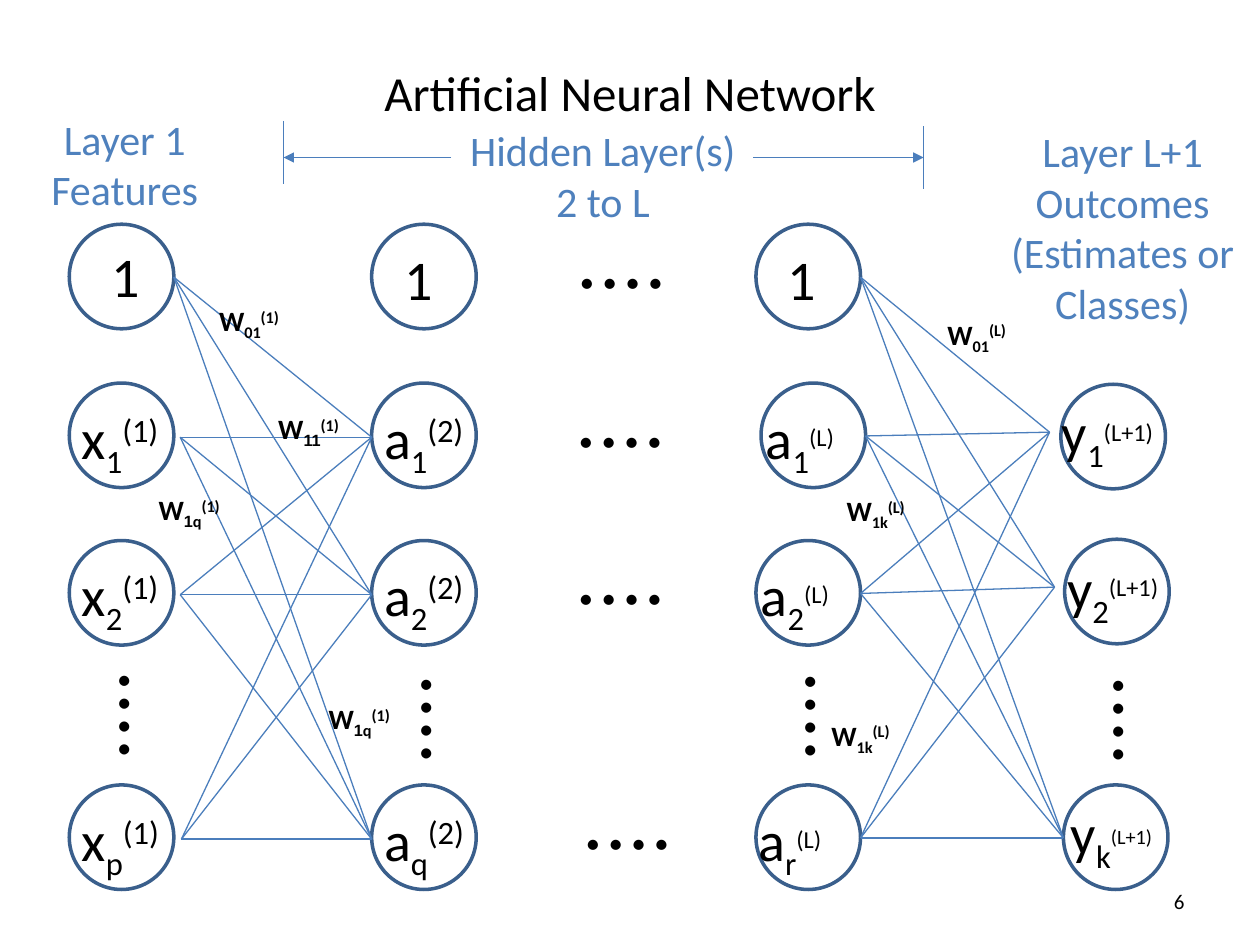
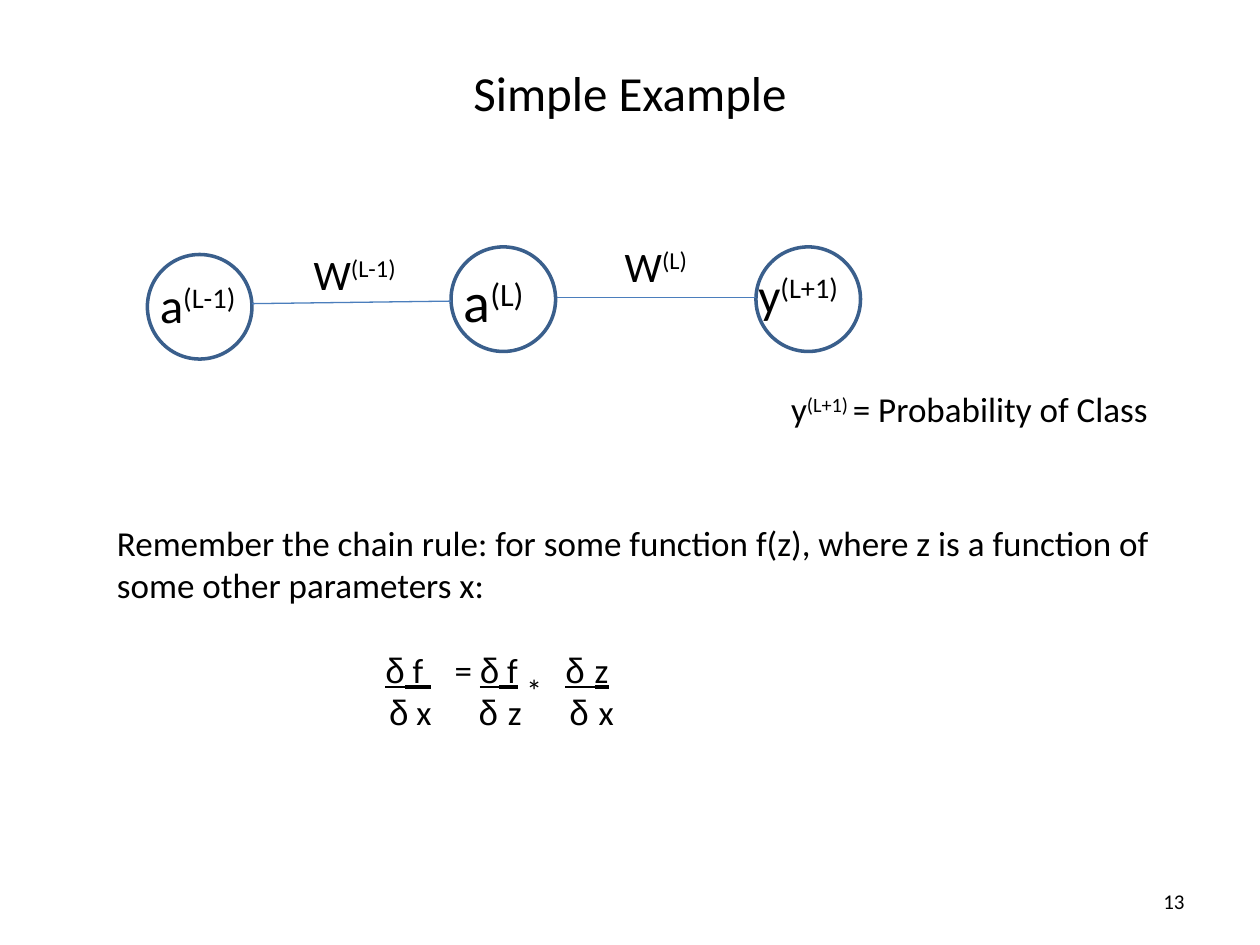
from itertools import product

from lxml.etree import SubElement
from pptx import Presentation
from pptx.dml.color import RGBColor
from pptx.enum.shapes import MSO_CONNECTOR, MSO_SHAPE
from pptx.enum.text import MSO_ANCHOR, MSO_AUTO_SIZE, PP_ALIGN
from pptx.oxml.ns import qn
from pptx.util import Inches, Pt

BLACK = "000000"
HEADING_BLUE = "4F81BD"
OUTLINE_BLUE = "3A5F8C"
LINE_BLUE = "4B7EBC"
DIAMETER = 0.83


def rgb(value):
    """Turn a hex string into a colour."""
    return RGBColor.from_string(value)


def write(paragraph, text, size=20, color=BLACK, font="Calibri", bold=False,
          underline=False, baseline=0):
    """Add one formatted run to a paragraph."""
    run = paragraph.add_run()
    run.text = text
    run.font.size = Pt(size)
    run.font.name = font
    run.font.bold = bold
    run.font.underline = underline
    run.font.color.rgb = rgb(color)
    if baseline:
        run._r.get_or_add_rPr().set("baseline", str(baseline * 1000))


def sub(text, **style):
    """Describe a subscript run."""
    return text, dict(baseline=-25, **style)


def sup(text, **style):
    """Describe a superscript run."""
    return text, dict(baseline=30, **style)


def arial(text, **style):
    """Describe a run set in Arial."""
    return text, dict(font="Arial", **style)


def set_tabs(paragraph, stops):
    """Set left tab stops, given in inches."""
    tab_list = SubElement(paragraph._p.get_or_add_pPr(), qn("a:tabLst"))
    for stop in stops:
        SubElement(tab_list, qn("a:tab"), pos=str(Inches(stop)), algn="l")


class Deck:
    """Hold the shared style and the current slide."""

    def __init__(self):
        """Start a ten by seven and a half inch presentation."""
        self.presentation = Presentation()
        self.presentation.slide_width = Inches(10)
        self.presentation.slide_height = Inches(7.5)
        self.slide = None

    def new_slide(self, title, number):
        """Add a slide with its title and number."""
        self.slide = self.presentation.slides.add_slide(self.presentation.slide_layouts[5])
        shape = self.slide.shapes.title
        shape.left, shape.top, shape.width, shape.height = map(Inches, (0.5, 0.42, 9, 0.62))
        frame = shape.text_frame
        frame.vertical_anchor = MSO_ANCHOR.MIDDLE
        frame.paragraphs[0].alignment = PP_ALIGN.CENTER
        write(frame.paragraphs[0], title, size=28)
        footer = self.text((7.17, 6.95, 2.33, 0.4), [[number]], size=12,
                           align=PP_ALIGN.RIGHT, wrap=True, grow=False)
        footer.text_frame.vertical_anchor = MSO_ANCHOR.MIDDLE

    def text(self, box, lines, align=PP_ALIGN.LEFT, wrap=False, grow=True,
             shapes=None, **style):
        """Add a text box; a line is a list of strings or (string, style) runs."""
        shape = (shapes or self.slide.shapes).add_textbox(*map(Inches, box))
        frame = shape.text_frame
        frame.word_wrap = wrap
        frame.auto_size = MSO_AUTO_SIZE.SHAPE_TO_FIT_TEXT if grow else MSO_AUTO_SIZE.NONE
        for index, runs in enumerate(lines):
            paragraph = frame.add_paragraph() if index else frame.paragraphs[0]
            paragraph.alignment = align
            for run in runs:
                content, changes = (run, {}) if isinstance(run, str) else run
                write(paragraph, content, **{**style, **changes})
        return shape

    def node(self, left, top, label_box, runs, size=32):
        """Add a circle grouped with its label, placed relative to the circle."""
        group = self.slide.shapes.add_group_shape()
        circle = group.shapes.add_shape(
            MSO_SHAPE.OVAL, *map(Inches, (left, top, DIAMETER, DIAMETER)))
        circle.shadow.inherit = False
        circle.fill.background()
        circle.line.color.rgb = rgb(OUTLINE_BLUE)
        circle.line.width = Pt(2)
        across, down, width = label_box
        self.text((left + across, top + down, width, size / 50), [runs],
                  shapes=group.shapes, size=size)

    def line(self, start, end, arrow=False):
        """Add a thin straight line, with an arrowhead at its end if asked."""
        connector = self.slide.shapes.add_connector(
            MSO_CONNECTOR.STRAIGHT, *map(Inches, (*start, *end)))
        connector.line.color.rgb = rgb(LINE_BLUE)
        connector.line.width = Pt(0.75)
        properties = connector._element.spPr
        if arrow:
            SubElement(properties.find(qn("a:ln")), qn("a:tailEnd"), type="triangle")
        SubElement(properties, qn("a:effectLst"))

    def dots(self, left, top, rotation=0):
        """Add a row of four dots, upright unless rotated."""
        shape = self.text((left, top, 0.5, 0.91), [["⁞"]], wrap=True, size=48)
        shape.rotation = rotation


def build_network(deck):
    """Build the layered network slide."""
    deck.new_slide("Artificial Neural Network", "6")
    headings = [
        ((7.54, 0.95, 2.74, 1.72), ["Layer L+1", "Outcomes", "(Estimates or", "Classes)"], True),
        ((0.3, 0.85, 1.38, 0.91), ["Layer 1", "Features"], False),
        ((3.58, 0.94, 2.41, 0.91), ["Hidden Layer(s)", "2 to L"], False),
    ]
    for box, lines, wrap in headings:
        deck.text(box, [[line] for line in lines], align=PP_ALIGN.CENTER, wrap=wrap,
                  size=24, color=HEADING_BLUE)

    bias_top, *unit_tops = 1.78, 3.04, 4.29, 6.23
    for left, label_box in [(0.55, (0.24, 0.09, 0.43)), (2.95, (0.16, 0.11, 0.43)),
                            (6, (0.15, 0.11, 0.43))]:
        deck.node(left, bias_top, label_box, ["1"])
    for left, letter, last, layer in [(0.55, "x", "p", "(1)"), (2.95, "a", "q", "(2)")]:
        for top, index in zip(unit_tops, ["1", "2", last]):
            deck.node(left, top, (0, 0.11, 0.9), [letter, sub(index), sup(layer)])
    for left, top, across, index in zip([6.04, 6, 6], unit_tops, [-0.06, -0.06, -0.08], "12r"):
        deck.node(left, top, (across, 0.11, 0.8), ["a", sub(index), sup("(L)", size=24)])
    outputs = [(8.42, 3.05, -0.09, 1.02, "1", 24), (8.45, 4.28, -0.08, 1.02, "2", 24),
               (8.44, 6.23, -0.04, 0.92, "k", 20)]
    for left, top, across, width, index, size in outputs:
        deck.node(left, top, (across, 0.06, width),
                  ["y", sub(index), sup("(L+1)", size=size)])

    for left, top in [(0.8, 5.16), (3.2, 5.19), (6.25, 5.17), (8.69, 5.2)]:
        deck.dots(left, top)
    for left, top in [(4.62, 1.74), (4.61, 3), (4.61, 4.25), (4.67, 6.19)]:
        deck.dots(left, top, rotation=270)

    input_ports = [(1.38, 2.2), (1.43, 3.47), (1.43, 4.72), (1.44, 6.66)]
    hidden_ports = [(2.95, 3.47), (2.95, 4.72), (2.95, 6.66)]
    last_hidden_ports = [(6.83, 2.2), (6.87, 3.46), (6.83, 4.71), (6.83, 6.65)]
    output_ports = [(8.33, 3.43), (8.37, 4.66), (8.44, 6.65)]
    for starts, ends in [(input_ports, hidden_ports), (last_hidden_ports, output_ports)]:
        for start, end in product(starts, ends):
            deck.line(start, end)

    weights = [
        (1.64, 2.36, [sub("01")], "(1)"),
        (2.11, 3.22, [arial("11", baseline=-25)], "(1)"),
        (1.16, 3.86, [arial("1", baseline=-25), sub("q")], "(1)"),
        (2.51, 5.52, [arial("1", baseline=-25), sub("q")], "(1)"),
        (7.42, 2.47, [sub("01")], "(L)"),
        (6.62, 3.87, [sub("1k")], "(L)"),
        (6.5, 5.65, [sub("1k")], "(L)"),
    ]
    for left, top, index, layer in weights:
        deck.text((left, top, 0.72, 0.37), [["W", *index, sup(layer)]], size=16, bold=True)

    for inner, outer, top in [(5.98, 7.33, 1), (3.58, 2.25, 0.96)]:
        deck.line((inner, 1.25), (outer, 1.25), arrow=True)
        deck.line((outer, top), (outer, top + 0.5))


def build_example(deck):
    """Build the chain rule slide."""
    deck.new_slide("Simple Example", "13")
    deck.node(1.17, 2.02, (0, 0.11, 0.87), ["a", sup("(L-1)")], size=28)
    deck.node(3.58, 1.96, (0, 0.11, 0.73), ["a", sup("(L)")])
    deck.node(6, 1.96, (-0.08, 0.09, 0.92), ["y", sup("(L+1)")], size=28)
    deck.line((4.42, 2.36), (6, 2.36))
    deck.line((2, 2.41), (3.58, 2.39))
    deck.text((2.39, 1.92, 0.92, 0.5), [["W", sup("(L-1)")]], size=24)
    deck.text((4.86, 1.86, 0.73, 0.5), [["W", sup("(L)")]], size=24)

    underlined = {"underline": True}
    chain_rule = deck.text((0.83, 4.09, 8.83, 1.79), [
        ["Remember the chain rule: for some function f(z), where z is a function of "
         "some other parameters x:"],
        ["\t", arial("δ", **underlined), (" f ", underlined), "\t=\t",
         arial("δ", **underlined), (" f", underlined), "\t",
         arial("δ ", **underlined), ("z", underlined)],
        ["\t", arial("δ"), " x", "\t", arial("δ "), "z", "\t", arial("δ "), "x"],
    ], wrap=True, size=20)
    _, numerators, denominators = chain_rule.text_frame.paragraphs
    set_tabs(numerators, [2.13, 2.68, 2.88, 3.56])
    set_tabs(denominators, [2.16, 2.87, 3.59])
    numerators.space_before = Pt(24.4)

    deck.text((4.08, 5.28, 0.33, 0.4), [["*"]], size=18)
    deck.text((5.71, 3.03, 3.97, 0.44), [["y", sup("(L+1) "), "= Probability of Class"]],
              align=PP_ALIGN.CENTER, wrap=True, size=20)


def main():
    """Build both slides and save them."""
    deck = Deck()
    build_network(deck)
    build_example(deck)
    deck.presentation.save("out.pptx")


if __name__ == "__main__":
    main()
